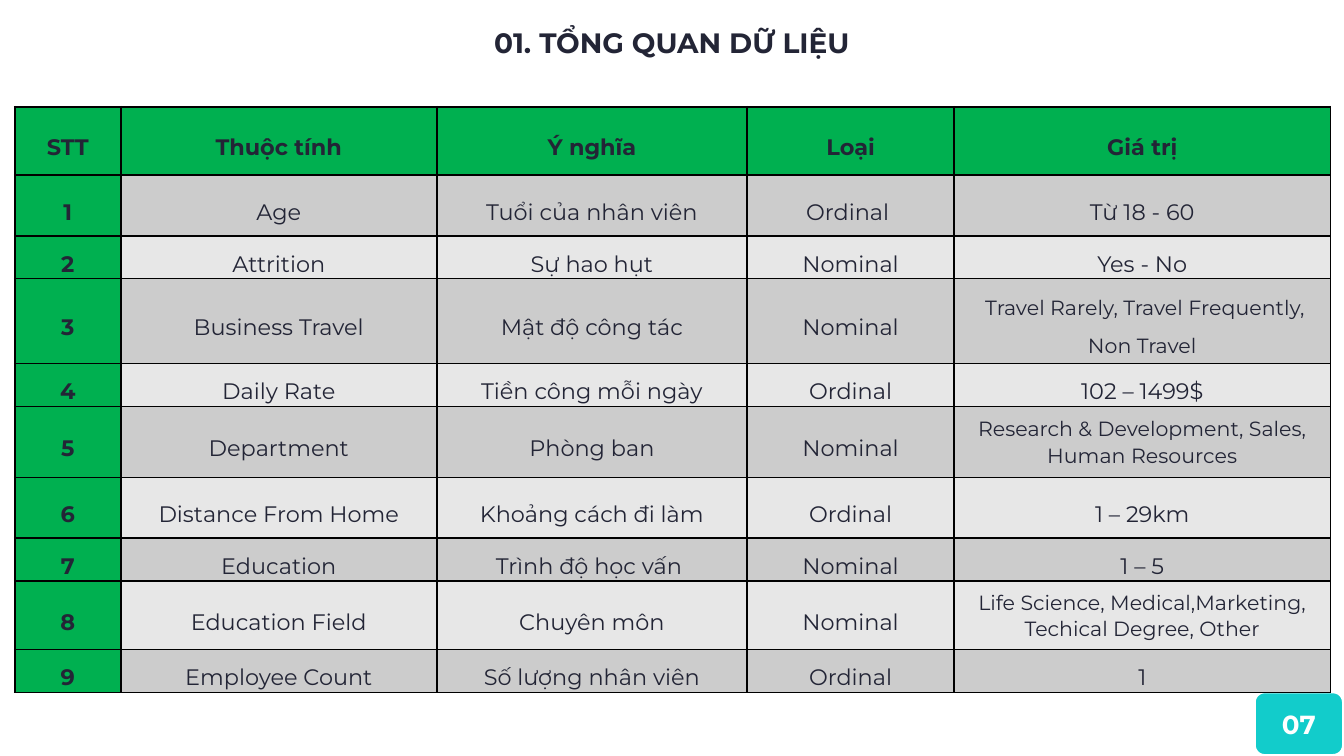
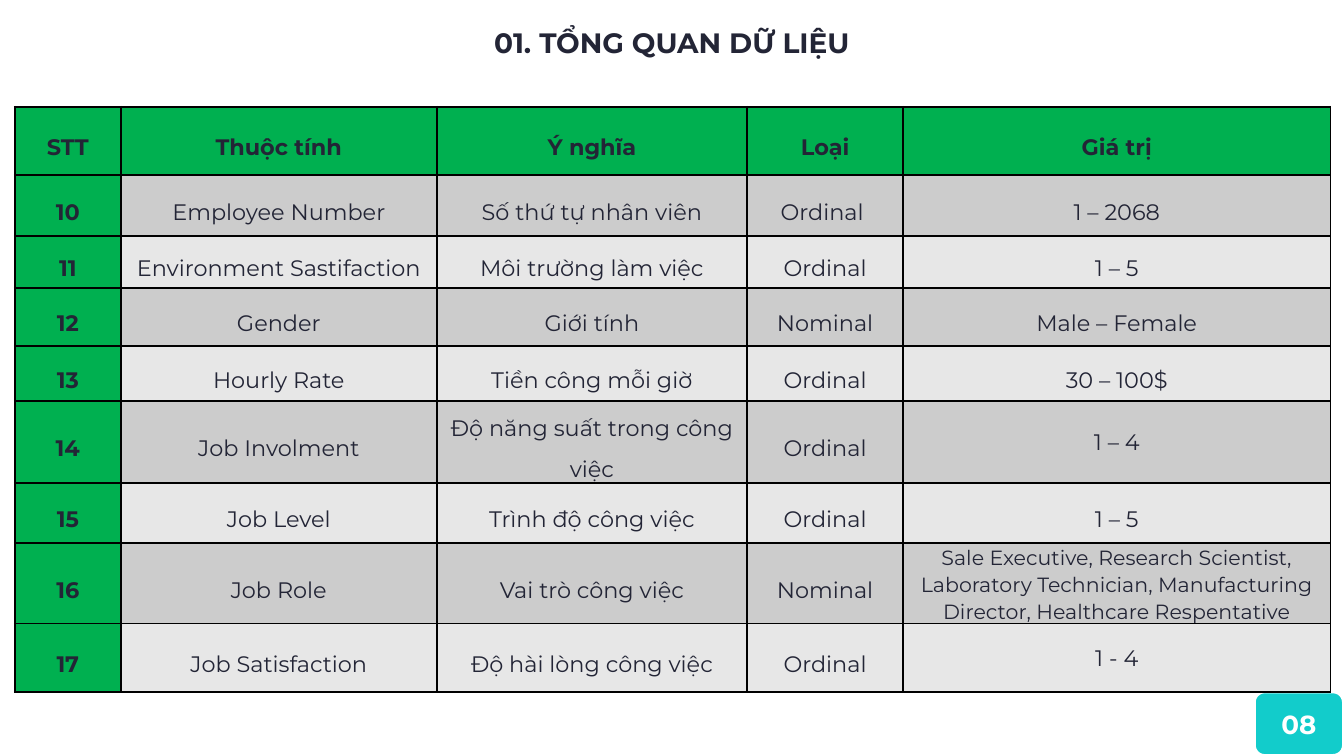
import pptx
import pptx.util
import pptx.dml.color
import pptx.enum.shapes
import pptx.enum.text
import lxml.etree

UNIT = pptx.util.Inches(0.01)
WIDE = 1000
HIGH = WIDE * 9 / 16
FONT = "Montserrat"
INK, WHITE, BLACK = "232536", "FFFFFF", "000000"
GREEN, TEAL = "00B050", "12CCCB"
BANDS = ["CCCCCC", "E7E7E7"]
TITLE = "01. TỔNG QUAN DỮ LIỆU"
HEAD = ["STT", "Thuộc tính", "Ý nghĩa", "Loại", "Giá trị"]
SMALL = {"3", "5", "8", "16"}
TIGHT = {"5", "8", "14", "16", "17"}

PAGES = [
    {
        "page": "07",
        "cols": [79, 235, 231, 154, 280],
        "rows": [51, 45, 32, 63, 32, 53, 45, 32, 51, 32],
        "data": [
            ["1", "Age", "Tuổi của nhân viên", "Ordinal ", "Từ 18 - 60"],
            ["2", "Attrition", "Sự hao hụt", "Nominal", "Yes - No"],
            ["3", "Business Travel", "Mật độ công tác", "Nominal",
             " Travel Rarely, Travel Frequently, Non Travel"],
            ["4", "Daily Rate", "Tiền công mỗi ngày", "Ordinal", "102 – 1499$"],
            ["5", "Department", "Phòng ban", "Nominal",
             "Research & Development, Sales, Human Resources"],
            ["6", "Distance From Home", "Khoảng cách đi làm", "Ordinal", "1 – 29km"],
            ["7", "Education", "Trình độ học vấn ", "Nominal", "1 – 5"],
            ["8", "Education Field", "Chuyên môn", "Nominal",
             "Life Science, Medical,Marketing, Techical Degree, Other"],
            ["9", "Employee Count", "Số lượng nhân viên", "Ordinal", "1"],
        ],
    },
    {
        "page": "08",
        "cols": [79, 235, 231, 116, 318],
        "rows": [51, 45, 39, 43, 41, 53, 45, 41, 51],
        "data": [
            ["10", "Employee Number", "Số thứ tự nhân viên", "Ordinal ", "1 – 2068"],
            ["11", "Environment Sastifaction", "Môi trường làm việc", "Ordinal", "1 – 5"],
            ["12", "Gender", "Giới tính", "Nominal", "Male – Female"],
            ["13", "Hourly Rate", "Tiền công mỗi giờ", "Ordinal", "30 – 100$"],
            ["14", "Job Involment", "Độ năng suất trong công việc", "Ordinal", "1 – 4"],
            ["15", "Job Level", "Trình độ công việc", "Ordinal", "1 – 5"],
            ["16", "Job Role", "Vai trò công việc", "Nominal",
             "Sale Executive, Research Scientist, Laboratory Technician, "
             "Manufacturing Director, Healthcare Respentative"],
            ["17", "Job Satisfaction", "Độ hài lòng công việc", "Ordinal", "1 - 4"],
        ],
    },
]


def paint(part, tone):
    part.solid()
    part.fore_color.rgb = pptx.dml.color.RGBColor.from_string(tone)


def scale(box):
    return [int(n * UNIT) for n in box]


def write(frame, text, size, tone=INK, bold=True):
    frame.word_wrap = True
    para = frame.paragraphs[0]
    para.alignment = pptx.enum.text.PP_ALIGN.CENTER
    run = para.add_run()
    run.text = text
    run.font.name = FONT
    run.font.size = pptx.util.Pt(size)
    run.font.bold = bold
    paint(run.font.fill, tone)
    return para


def title(slide, box):
    frame = slide.shapes.add_textbox(*scale(box)).text_frame
    frame.vertical_anchor = pptx.enum.text.MSO_ANCHOR.MIDDLE
    frame.margin_left = frame.margin_right = 10 * UNIT
    frame.margin_top = frame.margin_bottom = 10 * UNIT
    write(frame, TITLE, 15)


def badge(slide, box, page):
    shape = slide.shapes.add_shape(
        pptx.enum.shapes.MSO_SHAPE.ROUNDED_RECTANGLE, *scale(box))
    shape.shadow.inherit = False
    paint(shape.fill, TEAL)
    paint(shape.line.fill, WHITE)
    shape.line.width = pptx.util.Pt(2)
    shape.text_frame.vertical_anchor = pptx.enum.text.MSO_ANCHOR.MIDDLE
    write(shape.text_frame, page, 14, WHITE)


def edge(cell):
    props = cell._tc.get_or_add_tcPr()
    space = pptx.oxml.ns.nsdecls("a")
    for side in "LRTB":
        props.append(pptx.oxml.parse_xml(
            f'<a:ln{side} {space} w="{pptx.util.Pt(1)}"><a:solidFill>'
            f'<a:srgbClr val="{BLACK}"/></a:solidFill></a:ln{side}>'))


def fill(cell, text, tone, bold, size, tight):
    edge(cell)
    paint(cell.fill, tone)
    cell.vertical_anchor = pptx.enum.text.MSO_ANCHOR.MIDDLE
    cell.margin_left = cell.margin_right = (7 if tight else 2) * UNIT
    cell.margin_top = cell.margin_bottom = int(0.4 * UNIT)
    para = write(cell.text_frame, text, size, bold=bold)
    para.line_spacing = 1.07 if tight else 1.5
    if not tight:
        para.space_after = pptx.util.Pt(8)


def grid(slide, left, top, cols, rows, data):
    box = left, top, sum(cols), sum(rows)
    table = slide.shapes.add_table(len(rows), len(cols), *scale(box)).table
    table.horz_banding = False
    for col, wide in zip(table.columns, cols):
        col.width = wide * UNIT
    for row, high in zip(table.rows, rows):
        row.height = high * UNIT
    for r, line in enumerate([HEAD] + data):
        for c, text in enumerate(line):
            key = r == 0 or c == 0
            last = c == len(cols) - 1
            fill(table.cell(r, c), text,
                 GREEN if key else BANDS[(r - 1) % 2], key,
                 11 if last and line[0] in SMALL else 12,
                 last and line[0] in TIGHT)


def build(deck, page, cols, rows, data):
    slide = deck.slides.add_slide(deck.slide_layouts[6])
    paint(slide.background.fill, WHITE)
    title(slide, (0, 0, WIDE, 62.5))
    badge(slide, (WIDE - 67, HIGH - 48, 67, 48), page)
    grid(slide, 11, 79.4, cols, rows, data)


def main():
    deck = pptx.Presentation()
    deck.slide_width, deck.slide_height = scale((WIDE, HIGH))
    for item in PAGES:
        build(deck, **item)
    deck.save("out.pptx")


if __name__ == "__main__":
    main()
